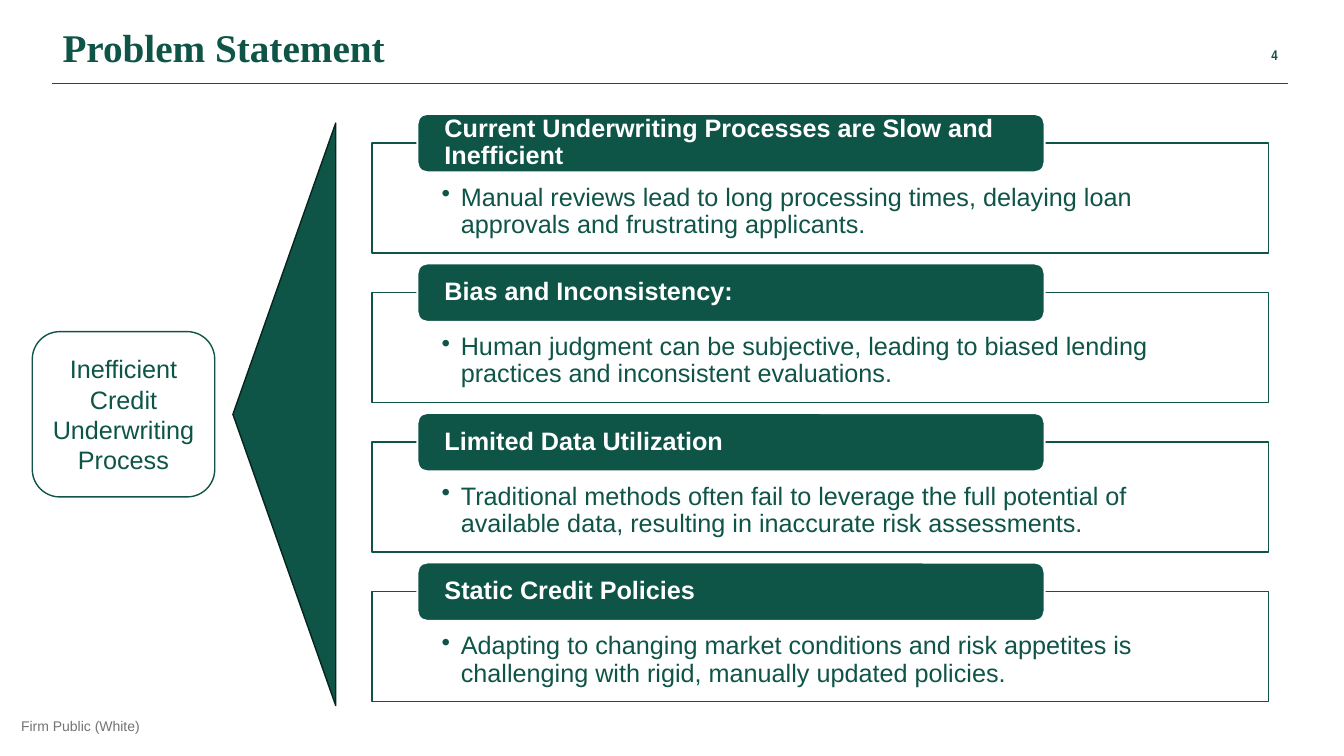
from dataclasses import dataclass

from lxml.etree import SubElement
from pptx import Presentation
from pptx.dml.color import RGBColor
from pptx.enum.shapes import MSO_CONNECTOR, MSO_SHAPE
from pptx.enum.text import MSO_ANCHOR, MSO_AUTO_SIZE, PP_ALIGN
from pptx.oxml.ns import qn
from pptx.util import Inches, Pt


@dataclass(frozen=True)
class Theme:
    green: str = "0E5447"
    dark_green: str = "06251F"
    white: str = "FFFFFF"
    grey: str = "737373"
    title_font: str = "Times New Roman"
    body_font: str = "Arial"
    number_font: str = "Arial Narrow"
    title_size: int = 28
    body_size: int = 18
    small_size: int = 10


PROBLEMS = [
    ("Current Underwriting Processes are Slow and Inefficient",
     "Manual reviews lead to long processing times, delaying loan approvals "
     "and frustrating applicants."),
    ("Bias and Inconsistency:",
     "Human judgment can be subjective, leading to biased lending practices "
     "and inconsistent evaluations."),
    ("Limited Data Utilization",
     "Traditional methods often fail to leverage the full potential of "
     "available data, resulting in inaccurate risk assessments."),
    ("Static Credit Policies",
     "Adapting to changing market conditions and risk appetites is "
     "challenging with rigid, manually updated policies."),
]
FIRST_TOP, LAST_TOP = 1.13, 5.58
PITCH = (LAST_TOP - FIRST_TOP) / (len(PROBLEMS) - 1)
BOX_DROP = 0.29  # half the header height


class SlideBuilder:
    def __init__(self, prs, theme):
        self.theme = theme
        self.slide = prs.slides.add_slide(prs.slide_layouts[5])

    def set_text(self, shape, text, color, size=None, font=None, bold=False,
                 align=PP_ALIGN.LEFT, anchor=MSO_ANCHOR.TOP,
                 insets=(0.1, 0.05, 0.1, 0.05), spacing=None):
        """Fill a shape's text frame; insets are left, top, right, bottom."""
        tf = shape.text_frame
        tf.word_wrap = True
        tf.auto_size = MSO_AUTO_SIZE.NONE
        tf.vertical_anchor = anchor
        (tf.margin_left, tf.margin_top,
         tf.margin_right, tf.margin_bottom) = map(Inches, insets)
        p = tf.paragraphs[0]
        p.text = text
        p.alignment = align
        p.line_spacing = spacing
        p.font.name = font or self.theme.body_font
        p.font.size = Pt(size or self.theme.body_size)
        p.font.bold = bold
        p.font.color.rgb = RGBColor.from_string(color)
        return p

    def title(self, text, box):
        sp = self.slide.shapes.title
        sp.left, sp.top, sp.width, sp.height = map(Inches, box)
        self.set_text(sp, text, self.theme.green, self.theme.title_size,
                      self.theme.title_font, bold=True, spacing=0.9)

    def text(self, text, box, color, **style):
        sp = self.slide.shapes.add_textbox(*map(Inches, box))
        self.set_text(sp, text, color, **style)

    def shape(self, kind, box, fill, line, width=1):
        sp = self.slide.shapes.add_shape(kind, *map(Inches, box))
        sp.shadow.inherit = False
        sp.fill.solid()
        sp.fill.fore_color.rgb = RGBColor.from_string(fill)
        sp.line.color.rgb = RGBColor.from_string(line)
        sp.line.width = Pt(width)
        return sp

    def rule(self, x1, x2, y):
        line = self.slide.shapes.add_connector(
            MSO_CONNECTOR.STRAIGHT, Inches(x1), Inches(y), Inches(x2), Inches(y))
        line.line.color.rgb = RGBColor.from_string(self.theme.green)
        line.line.width = Pt(0.5)
        SubElement(line._element.spPr, qn("a:effectLst"))

    def bullet(self, p, indent):
        pPr = p._p.get_or_add_pPr()
        pPr.set("marL", str(Inches(indent)))
        pPr.set("indent", str(-Inches(indent)))
        mark = pPr.makeelement(qn("a:buChar"), {"char": "•"})
        pPr.insert_element_before(mark, "a:tabLst", "a:defRPr", "a:extLst")

    def problem(self, header, detail, top):
        t = self.theme
        box = self.shape(MSO_SHAPE.RECTANGLE, (3.69, top + BOX_DROP, 8.89, 1.09),
                         t.white, t.green)
        p = self.set_text(box, detail, t.green, spacing=0.9,
                          insets=(0.69, 0.41, 0.69, 0.14))
        self.bullet(p, 0.19)
        tab = self.shape(MSO_SHAPE.ROUNDED_RECTANGLE, (4.14, top, 6.22, 0.58),
                         t.green, t.white, 1.5)
        self.set_text(tab, header, t.white, bold=True, spacing=0.9,
                      anchor=MSO_ANCHOR.MIDDLE, insets=(0.24, 0, 0.24, 0))


def main():
    prs = Presentation()
    prs.slide_width, prs.slide_height = Inches(13.33), Inches(7.5)
    t = Theme()
    s = SlideBuilder(prs, t)

    s.title("Problem Statement", (0.52, 0.23, 11.88, 0.64))
    s.rule(0.52, 12.77, 0.83)
    s.text("4", (11.32, 0.34, 1.45, 0.4), t.green, size=t.small_size,
           font=t.number_font, bold=True, align=PP_ALIGN.RIGHT,
           anchor=MSO_ANCHOR.MIDDLE)
    s.text("Firm Public (White)", (0.21, 7.12, 1.33, 0.17), t.grey,
           size=t.small_size, insets=(0, 0, 0, 0))

    for i, (header, detail) in enumerate(PROBLEMS):
        s.problem(header, detail, FIRST_TOP + i * PITCH)

    pointer = s.shape(MSO_SHAPE.ISOSCELES_TRIANGLE, (-0.07, 3.6, 5.78, 1.02),
                      t.green, t.dark_green)
    pointer.rotation = 270
    cause = s.shape(MSO_SHAPE.ROUNDED_RECTANGLE, (0.32, 3.29, 1.81, 1.64),
                    t.white, t.green)
    s.set_text(cause, "Inefficient Credit Underwriting Process", t.green,
               align=PP_ALIGN.CENTER, anchor=MSO_ANCHOR.MIDDLE)

    prs.save("out.pptx")


if __name__ == "__main__":
    main()
